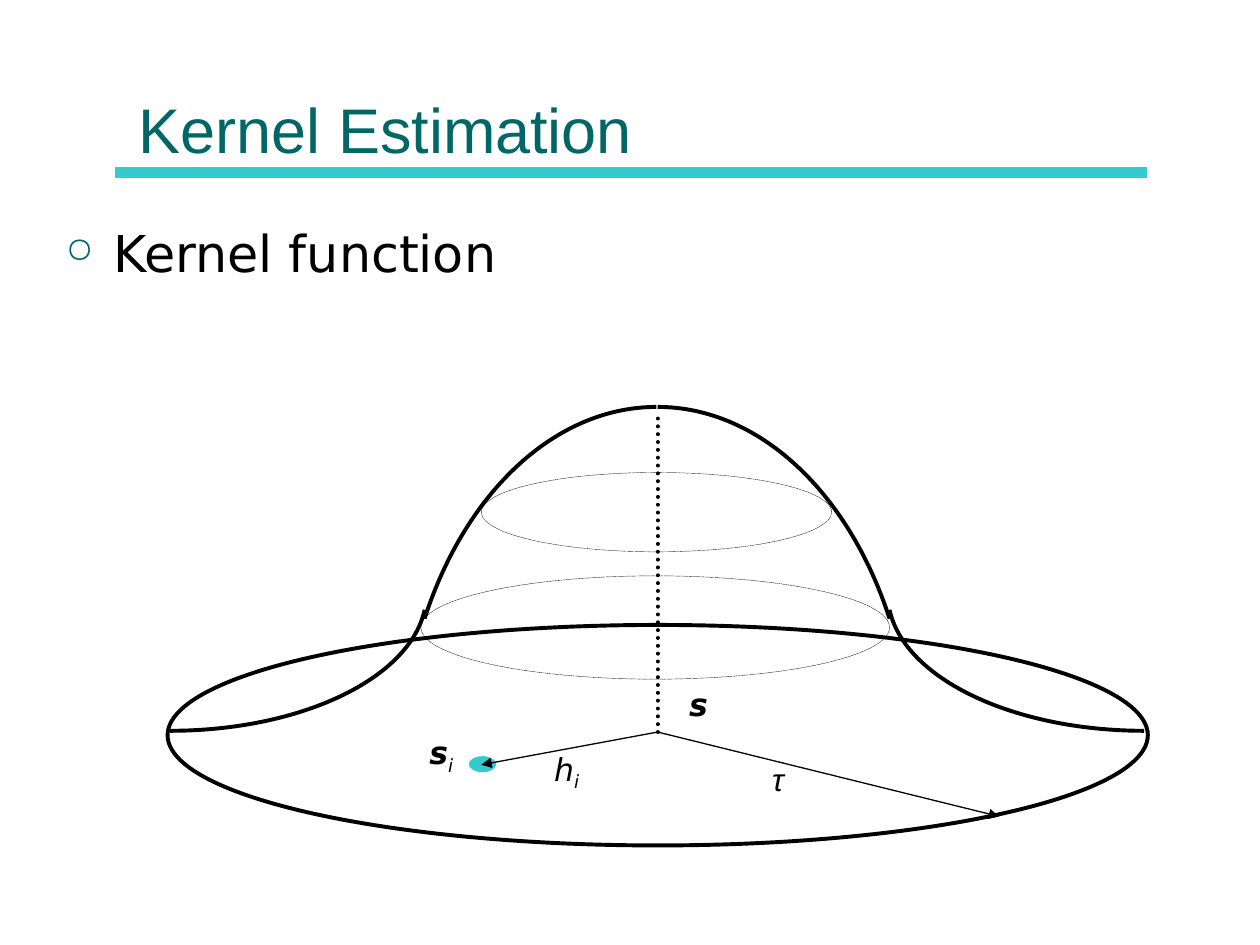
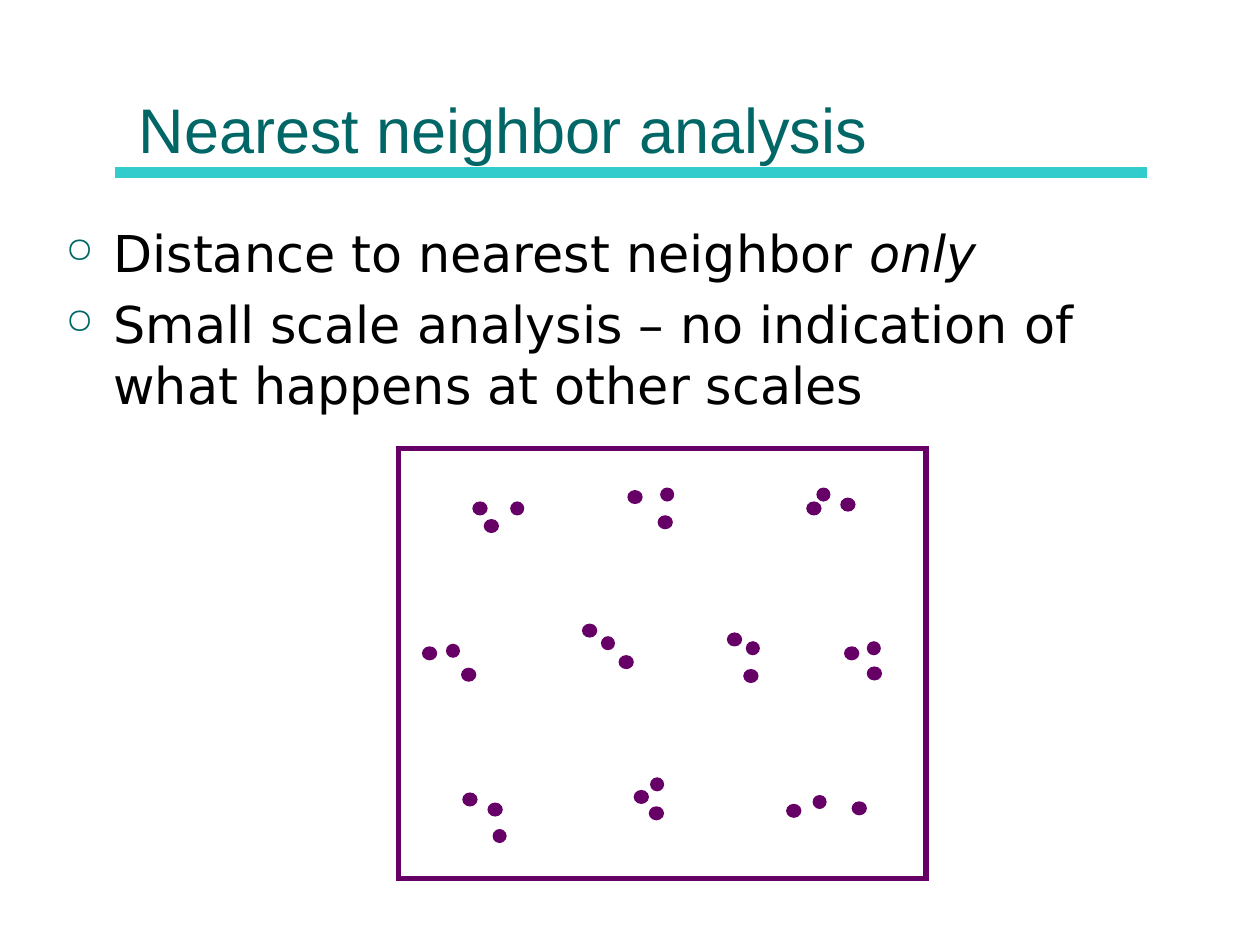
from dataclasses import dataclass
from typing import NamedTuple

from lxml.etree import SubElement
from pptx import Presentation
from pptx.dml.color import RGBColor
from pptx.enum.dml import MSO_LINE
from pptx.enum.shapes import MSO_CONNECTOR, MSO_SHAPE
from pptx.enum.text import MSO_ANCHOR, MSO_AUTO_SIZE, PP_ALIGN
from pptx.oxml.ns import qn
from pptx.util import Inches, Pt

COLORS = {
    "title": "006666",
    "accent": "33CCCC",
    "text": "000000",
    "paper": "FFFFFF",
    "points": "660066",
}
TITLE_FONT = "Arial"
BODY_FONT = "DejaVu Sans"
BULLET_FONT = "OpenSymbol"
BODY_SIZE = 29
MIRROR_SUM = 10.43
KERNEL_BASE = (5.22, 5.81)
DOT_HEIGHT = 0.09


class Piece(NamedTuple):
    text: str
    bold: bool = False
    italic: bool = False
    subscript: bool = False


class Point(NamedTuple):
    x: float
    y: float


@dataclass
class Curve:
    start: Point
    first_control: Point
    second_control: Point
    end: Point
    corner: Point

    def mirrored(self) -> "Curve":
        points = (self.start, self.first_control, self.second_control, self.end, self.corner)
        return Curve(*(Point(MIRROR_SUM - point.x, point.y) for point in points))


@dataclass
class Outline:
    left: float
    top: float
    width: float
    height: float
    line: str = "text"
    weight: float = 2.25
    fill: str | None = None
    dash: MSO_LINE | None = None
    kind: MSO_SHAPE = MSO_SHAPE.OVAL


@dataclass
class Segment:
    start: tuple[float, float]
    end: tuple[float, float]
    weight: float
    color: str = "text"
    dash: MSO_LINE | None = None
    arrow: bool = False


@dataclass
class Label:
    left: float
    top: float
    width: float
    pieces: list[Piece]
    font: str = BODY_FONT


HAT_CURVES = [
    Curve(Point(5.22, 3.23), Point(6.01, 3.23), Point(6.73, 3.89), Point(7.06, 4.91), Point(5.22, 6.07)),
    Curve(Point(9.08, 5.8), Point(8.05, 5.8), Point(7.18, 5.39), Point(7.06, 4.84), Point(9.08, 4.71)),
]
HEIGHT_AXIS = Segment(KERNEL_BASE, (5.22, 3.26), 2.25, dash=MSO_LINE.ROUND_DOT)
BASE_SHAPES = [
    Outline(5.06, 5.77, 0.31, 0.12, "paper", 0.75, kind=MSO_SHAPE.OCTAGON),
    Outline(1.33, 4.96, 7.78, 1.75),
]
CONTOURS = [
    Outline(3.34, 4.57, 3.72, 0.82, weight=0.25, dash=MSO_LINE.ROUND_DOT),
    Outline(3.82, 3.75, 2.78, 0.63, weight=0.25, dash=MSO_LINE.ROUND_DOT),
]
EVENT = Outline(3.71, 5.99, 0.24, 0.15, "paper", 1.5, "accent")
EVENT_DISTANCE = Segment(KERNEL_BASE, (3.82, 6.07), 0.75, arrow=True)
BANDWIDTH = Segment(KERNEL_BASE, (7.93, 6.48), 0.75, arrow=True)
INDEX = Piece("i", italic=True, subscript=True)
CENTER_LABEL = Label(5.37, 5.39, 0.35, [Piece("s", bold=True, italic=True)])
DISTANCE_LABEL = Label(4.3, 5.9, 0.4, [Piece("h", italic=True), INDEX])
BANDWIDTH_LABEL = Label(6.03, 5.98, 0.31, [Piece("τ", italic=True)], TITLE_FONT)
EVENT_LABEL = Label(3.31, 5.77, 0.39, [Piece("s", bold=True, italic=True), INDEX])

STUDY_AREA = Outline(3.16, 3.56, 4.19, 3.41, "points", 3, kind=MSO_SHAPE.RECTANGLE)
CLUSTERS = [
    [(4.06, 3.99), (3.85, 4.13), (3.76, 3.99)],
    [(5.25, 3.88), (5.23, 4.1), (4.99, 3.9)],
    [(6.49, 3.88), (6.68, 3.96), (6.41, 3.99)],
    [(3.55, 5.12), (3.67, 5.31), (3.36, 5.14)],
    [(4.78, 5.06), (4.92, 5.21), (4.63, 4.96)],
    [(5.93, 5.1), (5.91, 5.32), (5.78, 5.03)],
    [(6.89, 5.1), (6.89, 5.3), (6.71, 5.14)],
    [(3.92, 6.59), (3.88, 6.38), (3.68, 6.3)],
    [(5.17, 6.18), (5.16, 6.41), (5.04, 6.28)],
    [(6.46, 6.32), (6.77, 6.37), (6.25, 6.39)],
]


def rgb(name: str) -> RGBColor:
    return RGBColor.from_string(COLORS[name])


def place(shape, left: float, top: float, width: float, height: float) -> None:
    shape.left, shape.top = Inches(left), Inches(top)
    shape.width, shape.height = Inches(width), Inches(height)


def style_line(line, color: str, weight: float, dash: MSO_LINE | None = None) -> None:
    line.color.rgb = rgb(color)
    line.width = Pt(weight)
    if dash is not None:
        line.dash_style = dash


def add_pieces(paragraph, pieces: list[Piece], font: str, size: float) -> None:
    for piece in pieces:
        run = paragraph.add_run()
        run.text = piece.text
        run.font.name = font
        run.font.size = Pt(size)
        run.font.bold = piece.bold
        run.font.italic = piece.italic
        run.font.color.rgb = rgb("text")
        if piece.subscript:
            run._r.get_or_add_rPr().set("baseline", "-25000")


def add_segment(slide, segment: Segment) -> None:
    ends = [Inches(value) for value in (*segment.start, *segment.end)]
    connector = slide.shapes.add_connector(MSO_CONNECTOR.STRAIGHT, *ends)
    style_line(connector.line, segment.color, segment.weight, segment.dash)
    properties = connector._element.spPr
    line_element = properties.find(qn("a:ln"))
    if segment.dash is not None:
        line_element.set("cap", "rnd")
    if segment.arrow:
        SubElement(line_element, qn("a:tailEnd"), type="triangle")
    SubElement(properties, qn("a:effectLst"))


def add_outline(slide, outline: Outline) -> None:
    bounds = (outline.left, outline.top, outline.width, outline.height)
    shape = slide.shapes.add_shape(outline.kind, *map(Inches, bounds))
    shape.shadow.inherit = False
    if outline.kind == MSO_SHAPE.OCTAGON:
        shape.adjustments[0] = 0.36
    if outline.fill:
        shape.fill.solid()
        shape.fill.fore_color.rgb = rgb(outline.fill)
    else:
        shape.fill.background()
    style_line(shape.line, outline.line, outline.weight, outline.dash)
    SubElement(shape._element.spPr.find(qn("a:ln")), qn("a:miter"), lim="800000")


def add_curve(slide, curve: Curve) -> None:
    start, end, corner = (
        (Inches(point.x), Inches(point.y)) for point in (curve.start, curve.end, curve.corner)
    )
    builder = slide.shapes.build_freeform(*start)
    builder.add_line_segments([end, corner], close=False)
    shape = builder.convert_to_shape()
    shape.shadow.inherit = False
    shape.fill.background()
    style_line(shape.line, "text", 2.25)

    outline = next(shape._element.iter(qn("a:pathLst")))[0]
    for straight in outline.findall(qn("a:lnTo")):
        outline.remove(straight)
    bend = SubElement(outline, qn("a:cubicBezTo"))
    for point in (curve.first_control, curve.second_control, curve.end):
        x, y = Inches(point.x) - shape.left, Inches(point.y) - shape.top
        SubElement(bend, qn("a:pt"), x=str(x), y=str(y))


def add_label(slide, label: Label) -> None:
    bounds = (label.left, label.top, label.width, 0.4)
    text_frame = slide.shapes.add_textbox(*map(Inches, bounds)).text_frame
    text_frame.word_wrap = False
    text_frame.auto_size = MSO_AUTO_SIZE.SHAPE_TO_FIT_TEXT
    add_pieces(text_frame.paragraphs[0], label.pieces, label.font, 18)


def add_bullet(paragraph) -> None:
    properties = paragraph._p.get_or_add_pPr()
    properties.set("marL", str(Inches(0.38)))
    properties.set("indent", str(-Inches(0.38)))
    bullet_color = SubElement(properties, qn("a:buClr"))
    SubElement(bullet_color, qn("a:srgbClr"), val=COLORS["title"])
    SubElement(properties, qn("a:buSzPct"), val="70000")
    SubElement(properties, qn("a:buFont"), typeface=BULLET_FONT)
    SubElement(properties, qn("a:buChar"), char="○")


def add_content_slide(presentation, title_text: str, bullets: list[list[Piece]]):
    slide = presentation.slides.add_slide(presentation.slide_layouts[1])
    add_segment(slide, Segment((0.91, 1.37), (9.1, 1.37), 6, "accent"))

    title = slide.shapes.title
    place(title, 1, 0.12, 8, 1.25)
    title.text_frame.text = title_text
    title.text_frame.vertical_anchor = MSO_ANCHOR.BOTTOM
    title.text_frame.auto_size = MSO_AUTO_SIZE.NONE
    paragraph = title.text_frame.paragraphs[0]
    paragraph.alignment = PP_ALIGN.LEFT
    font = paragraph.runs[0].font
    font.name = TITLE_FONT
    font.size = Pt(36)
    font.color.rgb = rgb("title")

    body = slide.placeholders[1]
    place(body, 0.42, 1.71, 9.13, 4.5)
    text_frame = body.text_frame
    text_frame.auto_size = MSO_AUTO_SIZE.NONE
    for number, pieces in enumerate(bullets):
        paragraph = text_frame.add_paragraph() if number else text_frame.paragraphs[0]
        add_bullet(paragraph)
        paragraph.space_before = Pt(0.2 * BODY_SIZE if number else 0)
        add_pieces(paragraph, pieces, BODY_FONT, BODY_SIZE)
    return slide


def build_kernel_slide(presentation) -> None:
    slide = add_content_slide(presentation, "Kernel Estimation", [[Piece("Kernel function")]])
    add_segment(slide, HEIGHT_AXIS)
    for outline in BASE_SHAPES:
        add_outline(slide, outline)
    for curve in [*HAT_CURVES, *(curve.mirrored() for curve in HAT_CURVES)]:
        add_curve(slide, curve)
    for outline in CONTOURS:
        add_outline(slide, outline)
    add_label(slide, CENTER_LABEL)
    add_outline(slide, EVENT)
    add_segment(slide, EVENT_DISTANCE)
    add_label(slide, DISTANCE_LABEL)
    add_segment(slide, BANDWIDTH)
    add_label(slide, BANDWIDTH_LABEL)
    add_label(slide, EVENT_LABEL)


def build_neighbor_slide(presentation) -> None:
    bullets = [
        [Piece("Distance to nearest neighbor "), Piece("only", italic=True)],
        [Piece("Small scale analysis – no indication of what happens at other scales")],
    ]
    slide = add_content_slide(presentation, "Nearest neighbor analysis", bullets)
    add_outline(slide, STUDY_AREA)
    for cluster in CLUSTERS:
        for number, (left, top) in enumerate(cluster):
            width = 0.1 if number else DOT_HEIGHT
            add_outline(slide, Outline(left, top, width, DOT_HEIGHT, "points", 1.5, "points"))


def main() -> None:
    presentation = Presentation()
    presentation.slide_width = Inches(10)
    presentation.slide_height = Inches(7.5)
    build_kernel_slide(presentation)
    build_neighbor_slide(presentation)
    presentation.save("out.pptx")


if __name__ == "__main__":
    main()
